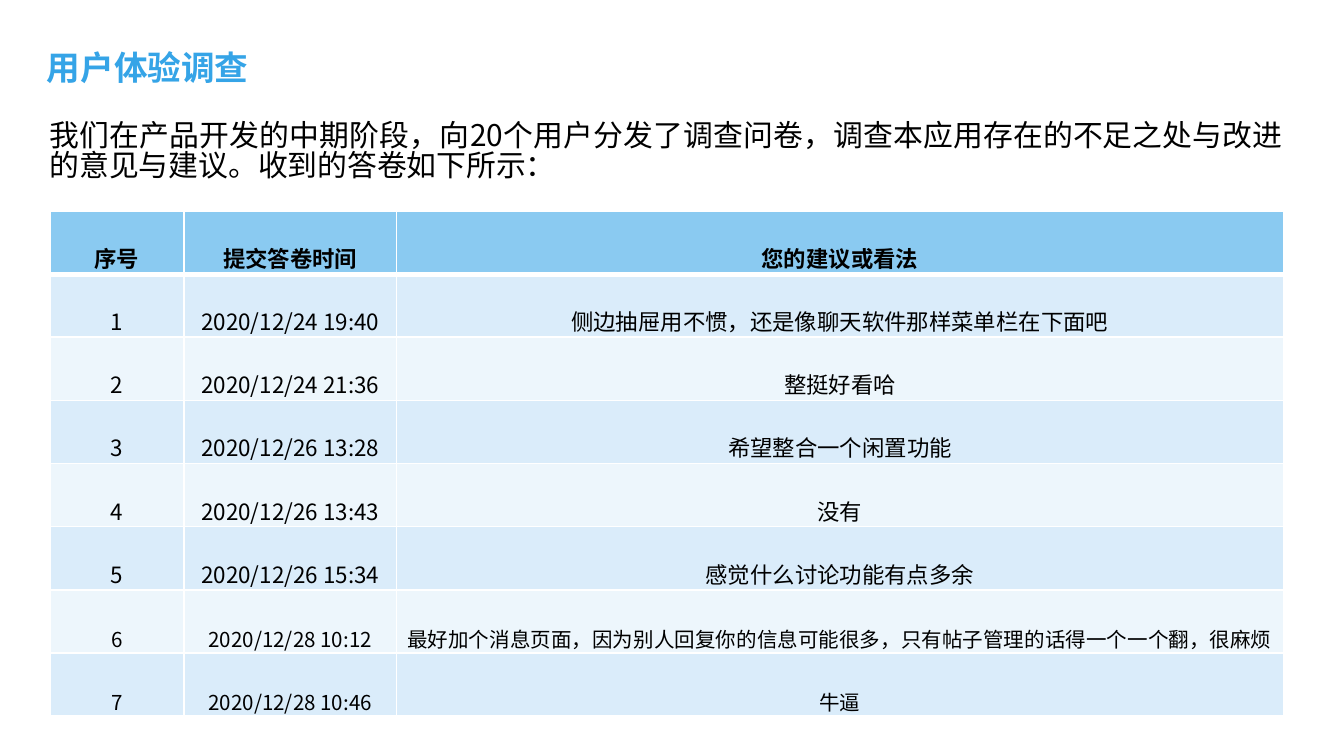
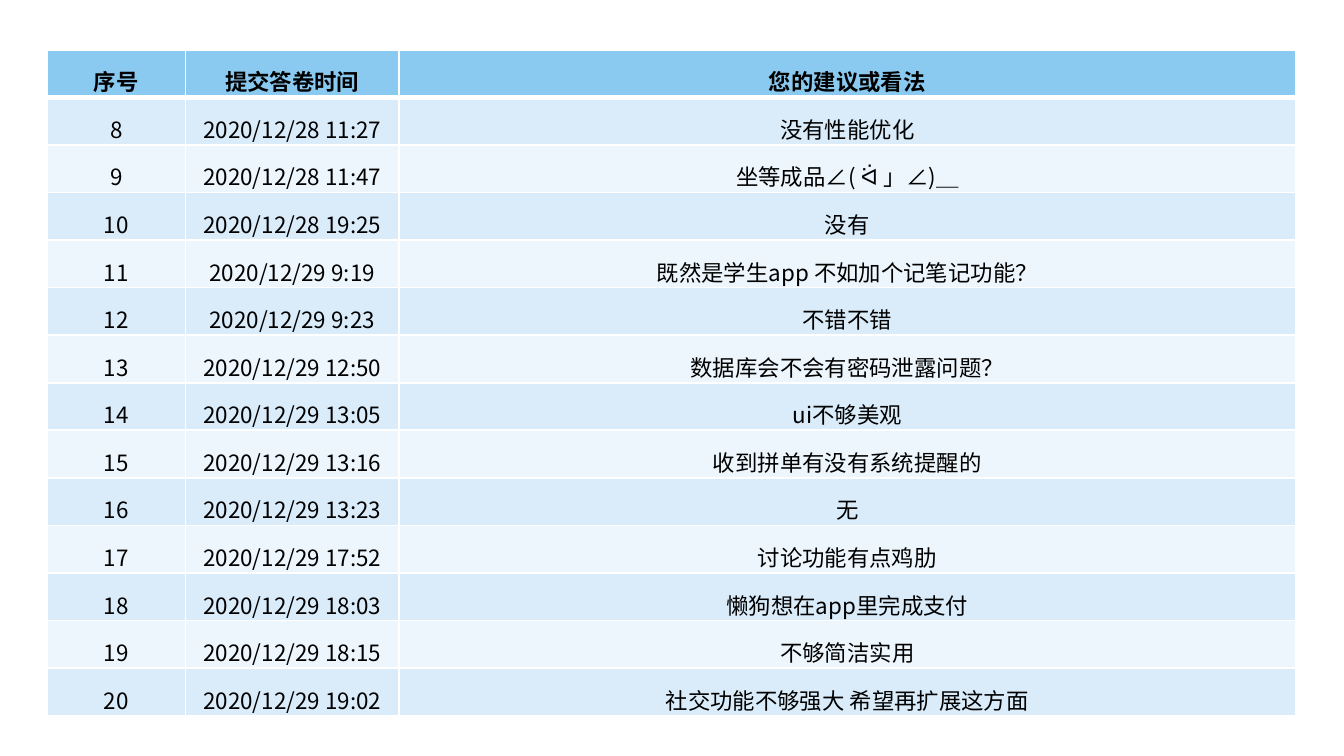
from dataclasses import dataclass

from lxml.etree import SubElement as Sub
from pptx import Presentation
from pptx.dml.color import RGBColor
from pptx.enum.shapes import MSO_SHAPE as Kind
from pptx.enum.text import MSO_ANCHOR as Anchor, PP_ALIGN as Align
from pptx.oxml.ns import qn
from pptx.util import Emu, Inches, Pt

# Grid: 100 columns across, square rows, 16:9
WIDE = Inches(10)
UNIT = WIDE // 100
HIGH = WIDE * 9 // 16

SANS = "Noto Sans CJK SC"
WHITE, BLACK, BLUE = "FFFFFF", "000000", "35A4E7"
HEAD, BANDS = "8ACAF1", ("DAECFA", "EDF6FC")
TITLES = ("序号", "提交答卷时间", "您的建议或看法")


@dataclass(frozen=True)
class Box:
    left: float
    top: float
    width: float
    height: float

    def place(self) -> tuple:
        return tuple(span(n) for n in (self.left, self.top, self.width, self.height))


@dataclass(frozen=True)
class Style:
    size: float
    color: str = BLACK
    bold: bool = False
    face: str = SANS


@dataclass(frozen=True)
class Reply:
    time: str
    view: str | tuple  # plain text, or (text, face) pairs
    size: float = 12


PANEL = Box(2, 2.1, 96.1, 52)

EARLY = (
    Reply("2020/12/24 19:40", "侧边抽屉用不惯，还是像聊天软件那样菜单栏在下面吧"),
    Reply("2020/12/24 21:36", "整挺好看哈"),
    Reply("2020/12/26 13:28", "希望整合一个闲置功能"),
    Reply("2020/12/26 13:43", "没有"),
    Reply("2020/12/26 15:34", "感觉什么讨论功能有点多余"),
    Reply("2020/12/28 10:12",
          "最好加个消息页面，因为别人回复你的信息可能很多，只有帖子管理的话得一个一个翻，很麻烦", 11),
    Reply("2020/12/28 10:46", "牛逼", 11),
)
LATE = (
    Reply("2020/12/28 11:27", "没有性能优化"),
    Reply("2020/12/28 11:47", (("坐等成品∠( ", SANS), ("ᐛ ", "Lato"), ("」∠)＿", SANS))),
    Reply("2020/12/28 19:25", "没有"),
    Reply("2020/12/29 9:19", "既然是学生app 不如加个记笔记功能？"),
    Reply("2020/12/29 9:23", "不错不错"),
    Reply("2020/12/29 12:50", "数据库会不会有密码泄露问题？"),
    Reply("2020/12/29 13:05", "ui不够美观"),
    Reply("2020/12/29 13:16", "收到拼单有没有系统提醒的"),
    Reply("2020/12/29 13:23", "无"),
    Reply("2020/12/29 17:52", "讨论功能有点鸡肋"),
    Reply("2020/12/29 18:03", "懒狗想在app里完成支付"),
    Reply("2020/12/29 18:15", "不够简洁实用"),
    Reply("2020/12/29 19:02", "社交功能不够强大 希望再扩展这方面"),
)


def span(units: float) -> Emu:
    return Emu(round(units * UNIT))


def paint(fill, code: str) -> None:
    fill.solid()
    fill.fore_color.rgb = RGBColor.from_string(code)


def apply(item, values: dict) -> None:
    for name, value in values.items():
        setattr(item, name, value)


def write(para, text: str | tuple, style: Style) -> None:
    parts = ((text, style.face),) if isinstance(text, str) else text
    for words, face in parts:
        run = para.add_run()
        run.text = words
        apply(run.font, {"size": Pt(style.size), "bold": style.bold, "name": face})
        paint(run.font.fill, style.color)
        for tag in ("a:ea", "a:cs"):
            Sub(run.font._element, qn(tag), typeface=face)


def add_panel(slide) -> None:
    shape = slide.shapes.add_shape(Kind.RECTANGLE, *PANEL.place())
    shape.shadow.inherit = False
    paint(shape.fill, WHITE)
    tone = shape._element.spPr.find(qn("a:solidFill"))[0]
    Sub(tone, qn("a:alpha"), val="80000")
    shape.line.fill.background()


def add_text(slide, box: Box, text: str, style: Style, pad: float = 0, **form) -> None:
    frame = slide.shapes.add_textbox(*box.place()).text_frame
    apply(frame, {"word_wrap": True, "vertical_anchor": Anchor.MIDDLE,
                  "margin_left": 0, "margin_right": 0,
                  "margin_top": span(pad), "margin_bottom": span(pad)})
    para = frame.paragraphs[0]
    apply(para, form)
    write(para, text, style)


def add_edges(cell, top: float, base: float) -> None:
    props = cell._tc.get_or_add_tcPr()
    for spot, (side, width) in enumerate(zip("LRTB", (1, 1, top, base))):
        edge = props.makeelement(qn(f"a:ln{side}"), {"w": str(Pt(width))})
        Sub(Sub(edge, qn("a:solidFill")), qn("a:srgbClr"), val=WHITE)
        props.insert(spot, edge)


def add_grid(slide, box: Box, widths: tuple, start: int, items: tuple) -> None:
    lines = [(TITLES, Style(12, bold=True), HEAD)]
    for i, item in enumerate(items):
        texts = (str(start + i), item.time, item.view)
        lines.append((texts, Style(item.size), BANDS[i % 2]))

    table = slide.shapes.add_table(len(lines), len(widths), *box.place()).table
    for col, width in zip(table.columns, widths):
        col.width = span(width)
    for r, (texts, style, tone) in enumerate(lines):
        table.rows[r].height = span(box.height / len(lines))
        for c, text in enumerate(texts):
            cell = table.cell(r, c)
            apply(cell, {"vertical_anchor": Anchor.BOTTOM,
                         "margin_left": span(0.7), "margin_right": span(0.7),
                         "margin_top": 0, "margin_bottom": 0})
            paint(cell.fill, tone)
            # A thick rule parts the head from the replies
            add_edges(cell, 3 if r == 1 else 1, 3 if r == 0 else 1)
            para = cell.text_frame.paragraphs[0]
            para.alignment = Align.CENTER
            write(para, text, style)


def main() -> None:
    deck = Presentation()
    apply(deck, {"slide_width": WIDE, "slide_height": HIGH})
    first, second = (deck.slides.add_slide(deck.slide_layouts[6]) for _ in range(2))
    for slide in (first, second):
        add_panel(slide)

    # Survey intro and the first replies
    add_text(first, Box(3.7, 7.8, 91.8, 7.1),
             "我们在产品开发的中期阶段，向20个用户分发了调查问卷，"
             "调查本应用存在的不足之处与改进的意见与建议。收到的答卷如下所示：",
             Style(16), alignment=Align.JUSTIFY, line_spacing=0.83)
    add_text(first, Box(3.5, 2.9, 23.3, 4.2), "用户体验调查",
             Style(18, BLUE, True, "Arial"), pad=0.5)
    add_grid(first, Box(3.7, 15.7, 91.8, 37.6), (10, 15.8, 66), 1, EARLY)

    # The other replies
    add_grid(second, Box(3.5, 3.7, 92.9, 49.6), (10.3, 15.9, 66.7),
             len(EARLY) + 1, LATE)
    deck.save("out.pptx")


if __name__ == "__main__":
    main()
